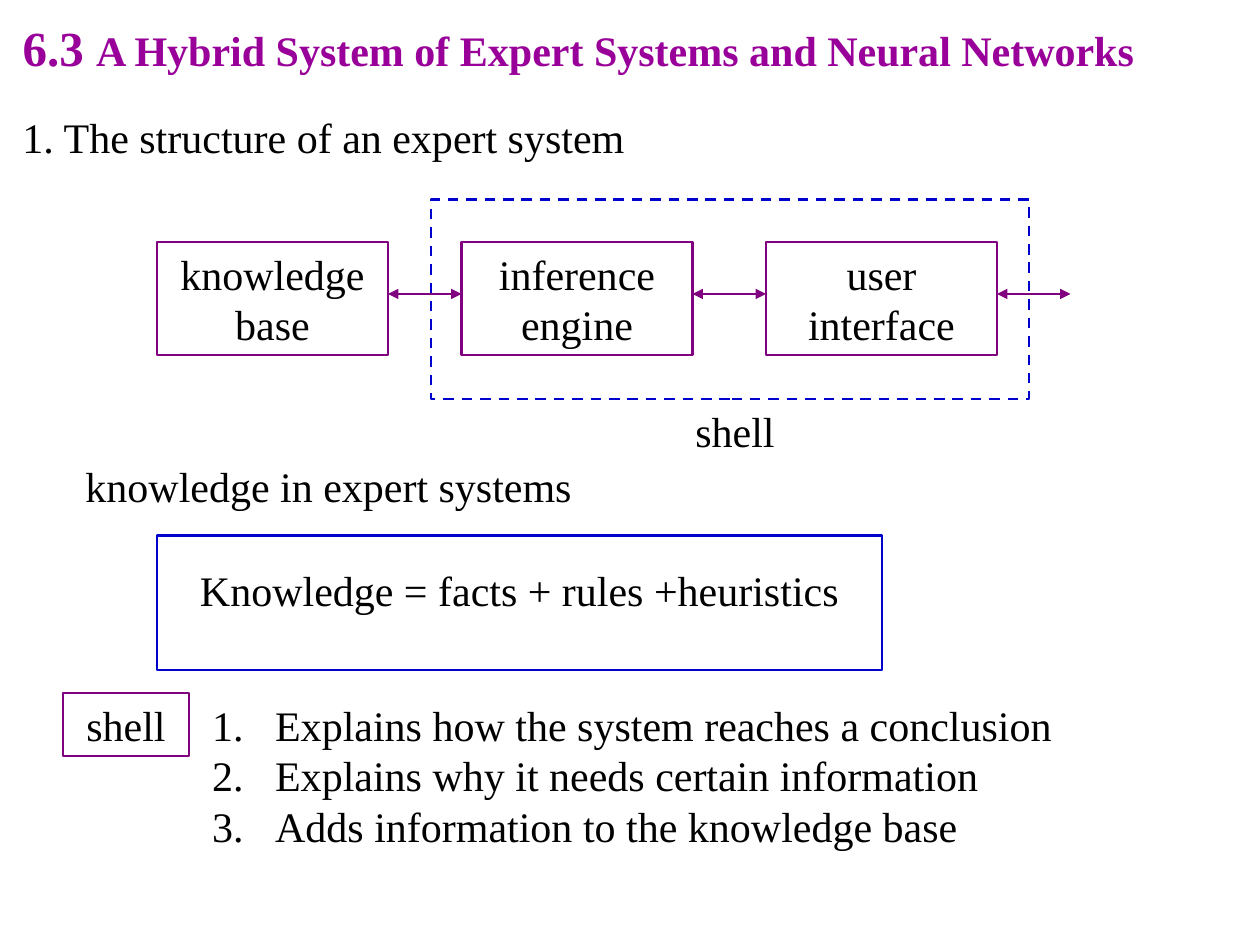
from lxml import etree
from pptx import Presentation
from pptx.dml.color import RGBColor
from pptx.enum.dml import MSO_LINE
from pptx.enum.shapes import MSO_CONNECTOR, MSO_SHAPE
from pptx.enum.text import MSO_ANCHOR, MSO_AUTO_SIZE, PP_ALIGN
from pptx.oxml.ns import qn
from pptx.util import Pt

DASH, LINE, RECT = MSO_LINE.DASH, MSO_CONNECTOR.STRAIGHT, MSO_SHAPE.RECTANGLE
TOP, MID = MSO_ANCHOR.TOP, MSO_ANCHOR.MIDDLE
LEFT, MIDDLE = PP_ALIGN.LEFT, PP_ALIGN.CENTER
FIXED = MSO_AUTO_SIZE.NONE
FONT = "Times New Roman"
HUES = {"title": "990099", "text": "000000", "part": "800080", "frame": "0000CC"}

TITLE = [("6.3 ", 28), ("A Hybrid System of Expert Systems and Neural Networks", 24)]
PARTS = [("knowledge", "base"), ("inference", "engine"), ("user", "interface")]
NOTES = [
    ("1. The structure of an expert system", (10, 105, 714, 63)),
    ("shell", (683, 399, 116, 63)),
    ("knowledge in expert systems", (73, 454, 609, 63)),
]
DUTIES = [
    "Explains how the system reaches a conclusion",
    "Explains why it needs certain information",
    "Adds information to the knowledge base",
]
PART_X, PART_Y, PART_W, PART_H, GAP = 157, 242, 231, 113, 73.5
ARROW_Y = 294


def px(n):
    return round(n * 914400 / 126)


def hue(name):
    return RGBColor.from_string(HUES[name])


def put(shape, box):
    shape.left, shape.top, shape.width, shape.height = map(px, box)


def add_run(par, text, size=24, tone="text", bold=False):
    run = par.add_run()
    run.text = text
    font = run.font
    font.name, font.size, font.bold = FONT, Pt(size), bold
    font.color.rgb = hue(tone)


def write(shape, lines, align=LEFT):
    frame = shape.text_frame
    frame.word_wrap, frame.auto_size = True, FIXED
    frame.vertical_anchor = TOP
    for i, line in enumerate(lines):
        par = frame.add_paragraph() if i else frame.paragraphs[0]
        par.alignment = align
        par.line_spacing, par.space_before = Pt(28.8), Pt(0)
        add_run(par, line)
    return frame


def add_rect(box, tone, lines=()):
    rect = slide.shapes.add_shape(RECT, *map(px, box))
    rect.shadow.inherit = False
    rect.fill.background()
    rect.line.color.rgb, rect.line.width = hue(tone), Pt(1.5)
    if lines:
        write(rect, lines, MIDDLE)
    return rect


def add_arrow(x, y, span):
    arrow = slide.shapes.add_connector(LINE, px(x), px(y), px(x + span), px(y))
    arrow.line.color.rgb, arrow.line.width = hue("part"), Pt(1.5)
    line = arrow.line._get_or_add_ln()
    for end in ("a:headEnd", "a:tailEnd"):
        etree.SubElement(line, qn(end), type="triangle")
    etree.SubElement(arrow._element.spPr, qn("a:effectLst"))


deck = Presentation()
deck.slide_width, deck.slide_height = px(1260), px(945)
slide = deck.slides.add_slide(deck.slide_layouts[1])

title = slide.shapes.title
put(title, (10, 10, 1155, 73))
title.text_frame.auto_size = FIXED
title.text_frame.vertical_anchor = MID
head = title.text_frame.paragraphs[0]
head.alignment = LEFT
for text, size in TITLE:
    add_run(head, text, size, "title", True)

add_rect((431, 199.5, 598, 199.5), "frame").line.dash_style = DASH
for i, words in enumerate(PARTS):
    x = PART_X + i * (PART_W + GAP)
    add_rect((x, PART_Y, PART_W, PART_H), "part", words)
    add_arrow(x + PART_W, ARROW_Y, GAP)

for text, box in NOTES:
    write(slide.shapes.add_textbox(*map(px, box)), [text])

rule = add_rect((157, 535.5, 725, 134.5), "frame", ["Knowledge = facts + rules +heuristics"])
rule.text_frame.margin_top = px(29)
add_rect((63, 693, 126, 63), "part", ["shell"])

body = slide.placeholders[1]
put(body, (199.5, 693, 924, 164))
for par in write(body, DUTIES).paragraphs:
    props = par._p.get_or_add_pPr()
    props.set("marL", str(px(63)))
    props.set("indent", str(px(-63)))
    etree.SubElement(props, qn("a:buFont"), typeface=FONT)
    etree.SubElement(props, qn("a:buAutoNum"), type="arabicPeriod")

deck.save("out.pptx")
